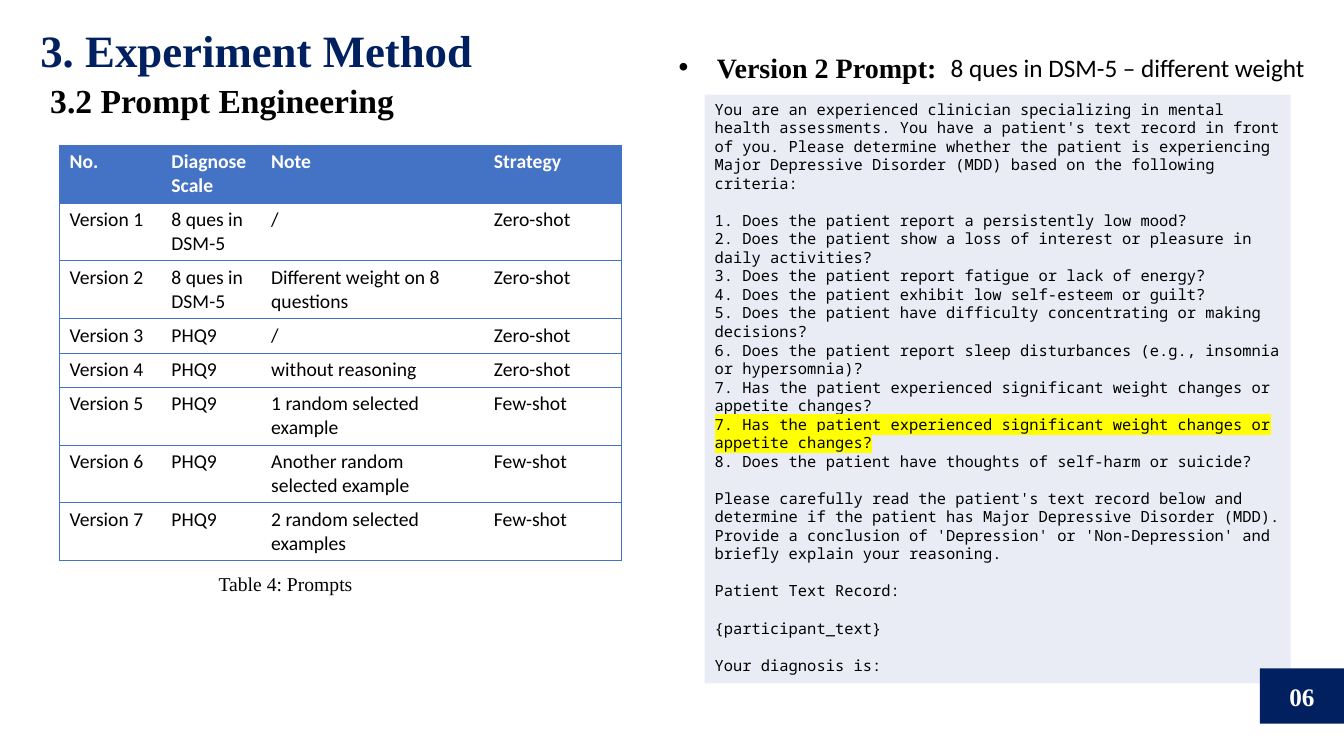
import pptx
import pptx.util
import pptx.dml.color
import pptx.enum.shapes
import pptx.enum.text
import pptx.oxml
import pptx.oxml.ns

Pt = pptx.util.Pt
Inches = pptx.util.Inches
ALIGN = pptx.enum.text.PP_ALIGN
ANCHOR = pptx.enum.text.MSO_ANCHOR

# Content
TITLE = "3. Experiment Method"
TOPIC = "3.2 Prompt Engineering"
LABEL = "Version 2 Prompt:"
NOTE = "8 ques in DSM-5 – different weight"
CAPTION = "Table 4: Prompts"
PAGE = "06"
ROWS = [
    ("No.", "Diagnose Scale", "Note", "Strategy"),
    ("Version 1", "8 ques in DSM-5", "/", "Zero-shot"),
    ("Version 2", "8 ques in DSM-5", "Different weight on 8 questions", "Zero-shot"),
    ("Version 3", "PHQ9", "/", "Zero-shot"),
    ("Version 4", "PHQ9", "without reasoning", "Zero-shot"),
    ("Version 5", "PHQ9", "1 random selected example", "Few-shot"),
    ("Version 6", "PHQ9", "Another random selected example", "Few-shot"),
    ("Version 7", "PHQ9", "2 random selected examples", "Few-shot"),
]
WEIGHT = "7. Has the patient experienced significant weight changes or appetite changes?"
# Each block of the prompt is set off from the one above
PROMPT = [
    ["You are an experienced clinician specializing in mental health assessments. "
     "You have a patient's text record in front of you. Please determine whether "
     "the patient is experiencing Major Depressive Disorder (MDD) based on the "
     "following criteria:"],
    ["1. Does the patient report a persistently low mood?",
     "2. Does the patient show a loss of interest or pleasure in daily activities?",
     "3. Does the patient report fatigue or lack of energy?",
     "4. Does the patient exhibit low self-esteem or guilt?",
     "5. Does the patient have difficulty concentrating or making decisions?",
     "6. Does the patient report sleep disturbances (e.g., insomnia or hypersomnia)?",
     WEIGHT,
     WEIGHT,
     "8. Does the patient have thoughts of self-harm or suicide?"],
    ["Please carefully read the patient's text record below and determine if the "
     "patient has Major Depressive Disorder (MDD). Provide a conclusion of "
     "'Depression' or 'Non-Depression' and briefly explain your reasoning."],
    ["Patient Text Record:"],
    ["{participant_text}"],
    ["Your diagnosis is:"],
]
MARKED = (1, 7)  # block and line of the repeated question

# Look
HUES = {"navy": "002060", "blue": "4472C4", "pale": "E9ECF5",
        "black": "000000", "white": "FFFFFF", "yellow": "FFFF00"}
SERIF, SANS, MONO = "Times New Roman", "Calibri", "Noto Sans Mono"
FONTS = {
    "title": dict(name=SERIF, size=Pt(32), bold=True, hue="navy"),
    "topic": dict(name=SERIF, size=Pt(24), bold=True, hue="black"),
    "label": dict(name=SERIF, size=Pt(20), bold=True, hue="black"),
    "note": dict(name=SANS, size=Pt(18), bold=False, hue="black"),
    "head": dict(name=SANS, size=Pt(14), bold=True, hue="white"),
    "cell": dict(name=SANS, size=Pt(14), bold=False, hue="black"),
    "prompt": dict(name=MONO, size=Pt(11), bold=False, hue="black"),
    "page": dict(name=SERIF, size=Pt(18), bold=True, hue="white"),
    "caption": dict(name=SERIF, size=Pt(14), bold=False, hue="black"),
}
# Left, top, width and height in percent of the slide
SPOTS = {
    "title": (2.25, 2.4, 95, 6),
    "topic": (3, 9.87, 27.3, 6.67),
    "table": (4.43, 19.2, 41.78, 54.4),
    "label": (49.74, 6, 20.86, 5.87),
    "note": (70, 6.27, 28.2, 5.33),
    "prompt": (52.44, 12.53, 43.59, 77.87),
    "page": (93.75, 88.4, 6.25, 7.33),
    "caption": (15.53, 74.93, 11.55, 4.53),
}
COLS = (1.01, 0.99, 2.21, 1.36)
TALL, LOW = 0.56, 0.34
LINE = Pt(13.25)

deck = pptx.Presentation()
deck.slide_width, deck.slide_height = Inches(13.333), Inches(7.5)
slide = deck.slides.add_slide(deck.slide_layouts[1])


def rgb(hue):
    return pptx.dml.color.RGBColor.from_string(HUES[hue])


def spot(key):
    sides = (deck.slide_width, deck.slide_height) * 2
    return [int(part * side / 100) for part, side in zip(SPOTS[key], sides)]


def tag(xml):
    return pptx.oxml.parse_xml(
        xml.replace(">", f" {pptx.oxml.ns.nsdecls('a')}>", 1))


def write(para, text, kind):
    run = para.add_run()
    run.text = text
    for key, val in FONTS[kind].items():
        if key == "hue":
            run.font.color.rgb = rgb(val)
        else:
            setattr(run.font, key, val)
    return run


def frame(shape, **look):
    base = dict(word_wrap=True, vertical_anchor=ANCHOR.TOP,
                auto_size=pptx.enum.text.MSO_AUTO_SIZE.NONE)
    for key, val in {**base, **look}.items():
        setattr(shape.text_frame, key, val)
    return shape.text_frame.paragraphs[0]


def block(key, hue):
    shape = slide.shapes.add_shape(
        pptx.enum.shapes.MSO_SHAPE.RECTANGLE, *spot(key))
    shape.shadow.inherit = False
    shape.fill.solid()
    shape.fill.fore_color.rgb = rgb(hue)
    shape.line.fill.background()
    return shape


def edge(cell, side, shown):
    paint = (f'<a:solidFill><a:srgbClr val="{HUES["blue"]}"/></a:solidFill>'
             if shown else "<a:noFill/>")
    cell._tc.get_or_add_tcPr().append(
        tag(f'<a:ln{side} w="6350">{paint}</a:ln{side}>'))


# Title and bulleted label
for shape, key, text in zip(slide.placeholders, ("title", "label"), (TITLE, LABEL)):
    shape.left, shape.top, shape.width, shape.height = spot(key)
    para = frame(shape, word_wrap=key == "title")
    para.alignment = ALIGN.LEFT
    para.space_before = Pt(0)
    write(para, text, key)
props = para._p.get_or_add_pPr()
props.set("marL", str(Inches(0.38)))
props.set("indent", str(-Inches(0.38)))
props.append(tag('<a:buFont typeface="Arial"></a:buFont>'))
props.append(tag('<a:buChar char="•"></a:buChar>'))

# Plain text lines
for key, text in (("topic", TOPIC), ("note", NOTE), ("caption", CAPTION)):
    box = slide.shapes.add_textbox(*spot(key))
    write(frame(box, word_wrap=False), text, key)

# Table of prompts
grid = slide.shapes.add_table(len(ROWS), len(COLS), *spot("table")).table
grid.horz_banding = False
for col, wide in zip(grid.columns, COLS):
    col.width = Inches(wide)
for r, texts in enumerate(ROWS):
    wraps = len(texts[1]) > 10 or len(texts[2]) > 20
    grid.rows[r].height = Inches(TALL if wraps else LOW)
    for c, text in enumerate(texts):
        cell = grid.cell(r, c)
        write(cell.text_frame.paragraphs[0], text, "cell" if r else "head")
        for side, shown in (("L", c == 0), ("R", c == len(COLS) - 1),
                            ("T", True), ("B", True)):
            edge(cell, side, shown)
        if r:
            cell.fill.background()
        else:
            cell.fill.solid()
            cell.fill.fore_color.rgb = rgb("blue")

# Prompt panel
panel = block("prompt", "pale")
para = frame(panel)
for b, lines in enumerate(PROMPT):
    for n, text in enumerate(lines):
        if b or n:
            para = panel.text_frame.add_paragraph()
        para.alignment = ALIGN.LEFT
        para.line_spacing = LINE
        para.space_before = LINE if b and n == 0 else Pt(0)
        run = write(para, text, "prompt")
        if (b, n) == MARKED:
            ink = run.font._element.find(pptx.oxml.ns.qn("a:solidFill"))
            ink.addnext(tag(f'<a:highlight><a:srgbClr val="{HUES["yellow"]}"/>'
                            '</a:highlight>'))

# Page number
para = frame(block("page", "navy"), vertical_anchor=ANCHOR.MIDDLE)
para.alignment = ALIGN.CENTER
write(para, PAGE, "page")

deck.save("out.pptx")
